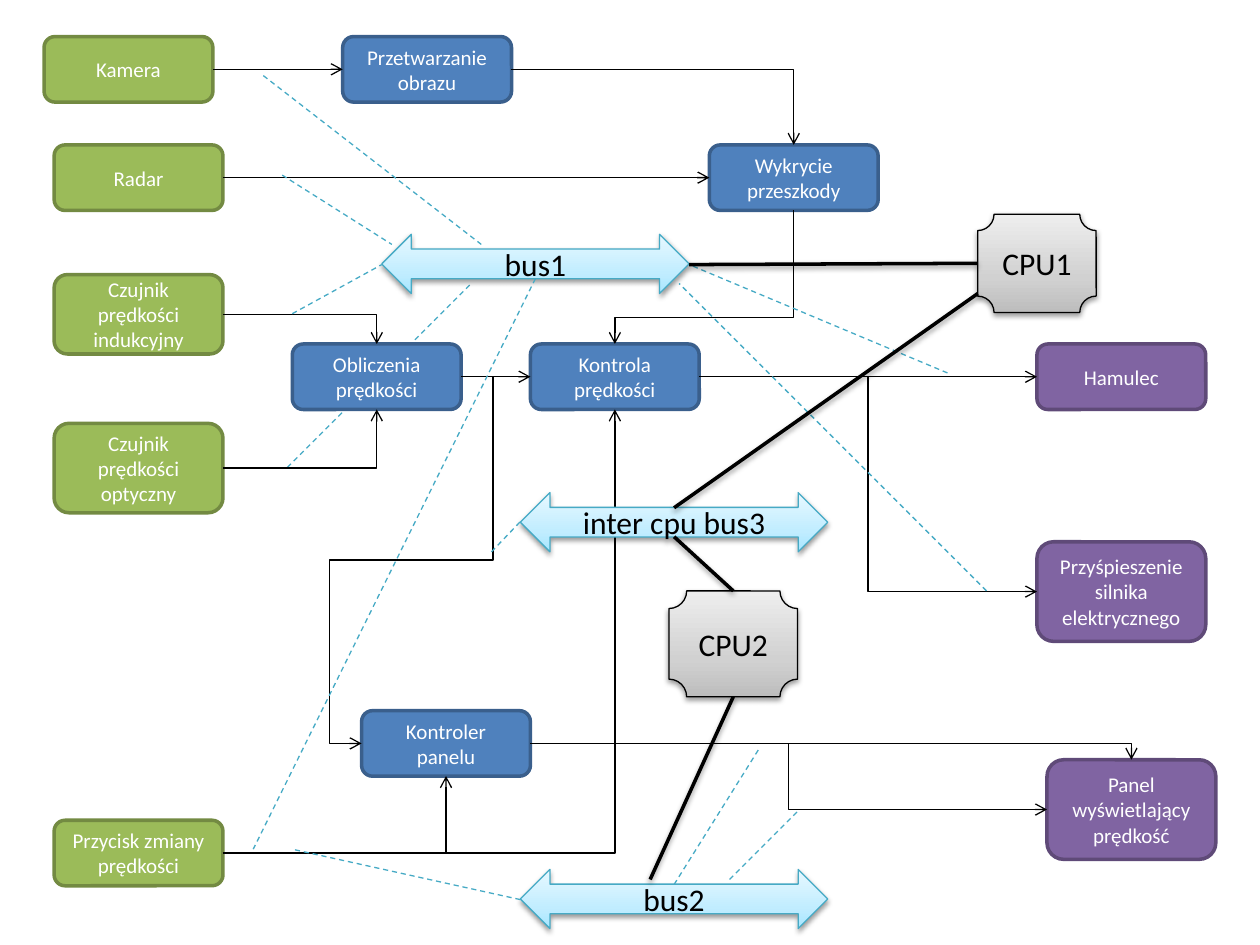
from copy import deepcopy
from dataclasses import dataclass

from lxml import etree
from pptx import Presentation
from pptx.dml import color
from pptx.enum import dml, shapes, text
from pptx.oxml import ns
from pptx.util import Inches, Pt


@dataclass(frozen=True)
class Theme:
    font: str = "Calibri"
    block_size: float = 12
    hardware_size: float = 18
    thin: float = 0.75
    thick: float = 2
    black: str = "000000"
    white: str = "FFFFFF"
    bus_line: str = "46AAC5"
    sensor: tuple = ("9BBB59", "738A42")
    process: tuple = ("4F81BD", "3A5F8C")
    actuator: tuple = ("8064A2", "5F4A78")
    bus: tuple = ("A7E6FF", "C1EDFF", "E7F8FF")
    cpu: tuple = ("BDBDBD", "D1D1D1", "EEEEEE")


@dataclass(frozen=True)
class Box:
    left: int
    top: int

    def at(self, x, y):
        return self.left + Inches(x), self.top + Inches(y)


THEME = Theme()
TOP, LEFT, BOTTOM, RIGHT = range(4)
BLOCK_WIDTH, BLOCK_HEIGHT = 1.34, 0.52
BUS_WIDTH, BUS_HEIGHT = 2.44, 0.47


def rgb(value):
    return color.RGBColor.from_string(value)


def add_node(parent, tag, **attributes):
    return etree.SubElement(parent, ns.qn(tag), attributes)


def finish_outline(part, line_color, width, shadowed=False):
    part.line.color.rgb = rgb(line_color)
    part.line.width = Pt(width)
    effects = add_node(part._element.spPr, "a:effectLst")
    if shadowed:
        shadow = add_node(effects, "a:outerShdw", blurRad=str(Pt(3.1)), dist=str(Pt(1.6)),
                          dir="5400000", rotWithShape="0")
        add_node(add_node(shadow, "a:srgbClr", val=THEME.black), "a:alpha", val="38000")


def write_label(part, label, size, font_color):
    part.text_frame.word_wrap = True
    part.text_frame.vertical_anchor = text.MSO_ANCHOR.MIDDLE
    paragraph = part.text_frame.paragraphs[0]
    paragraph.text = label
    paragraph.alignment = text.PP_ALIGN.CENTER
    paragraph.font.name = THEME.font
    paragraph.font.size = Pt(size)
    paragraph.font.color.rgb = rgb(font_color)


def fill_gradient(part, colors):
    part.fill.gradient()
    part.fill.gradient_angle = 90
    stops = part._element.spPr.find(ns.qn("a:gradFill")).find(ns.qn("a:gsLst"))
    stops.append(deepcopy(stops[-1]))
    for stop, position, value in zip(part.fill.gradient_stops, (0, 0.35, 1), colors):
        stop.position = position
        stop.color.rgb = rgb(value)


def add_blocks(slide, box):
    columns = (
        (THEME.sensor, (
            ("Kamera", 0.35, 0.29, BLOCK_HEIGHT),
            ("Radar", 0.43, 1.15, BLOCK_HEIGHT),
            ("Czujnik prędkości indukcyjny", 0.43, 2.18, 0.63),
            ("Czujnik prędkości optyczny", 0.43, 3.36, 0.71),
            ("Przycisk zmiany prędkości", 0.43, 6.51, BLOCK_HEIGHT))),
        (THEME.process, (
            ("Przetwarzanie obrazu", 2.72, 0.29, BLOCK_HEIGHT),
            ("Wykrycie przeszkody", 5.63, 1.15, BLOCK_HEIGHT),
            ("Obliczenia prędkości", 2.32, 2.73, BLOCK_HEIGHT),
            ("Kontrola prędkości", 4.21, 2.73, BLOCK_HEIGHT),
            ("Kontroler panelu", 2.87, 5.64, BLOCK_HEIGHT))),
        (THEME.actuator, (
            ("Hamulec", 8.23, 2.73, BLOCK_HEIGHT),
            ("Przyśpieszenie silnika elektrycznego", 8.23, 4.3, 0.79),
            ("Panel wyświetlający prędkość", 8.31, 6.03, 0.79))),
    )
    blocks = {}
    for (fill, outline), entries in columns:
        for label, x, y, height in entries:
            block = slide.shapes.add_shape(shapes.MSO_SHAPE.ROUNDED_RECTANGLE, *box.at(x, y),
                                           Inches(BLOCK_WIDTH), Inches(height))
            block.fill.solid()
            block.fill.fore_color.rgb = rgb(fill)
            finish_outline(block, outline, THEME.thick)
            write_label(block, label, THEME.block_size, THEME.white)
            blocks[label.split()[-1] if label.startswith("Czujnik") else label] = block
    return blocks


def start_downwards(signal):
    width, height = signal.width, signal.height
    signal.left += (width - height) // 2
    signal.top += (height - width) // 2
    signal.width, signal.height = height, width
    frame = signal._element.spPr.find(ns.qn("a:xfrm"))
    frame.attrib.pop("flipH", None)
    frame.set("rot", "5400000")


def add_signal(slide, source, source_side, target, target_side, preset, bends):
    signal = slide.shapes.add_connector(shapes.MSO_CONNECTOR.ELBOW, 0, 0, 0, 0)
    signal.begin_connect(source, source_side)
    signal.end_connect(target, target_side)
    if source_side == BOTTOM:
        start_downwards(signal)
    geometry = signal._element.spPr.find(ns.qn("a:prstGeom"))
    geometry.set("prst", preset)
    guides = geometry.find(ns.qn("a:avLst"))
    for number, bend in enumerate(bends, 1):
        add_node(guides, "a:gd", name=f"adj{number}", fmla=f"val {round(bend * 100000)}")
    finish_outline(signal, THEME.black, THEME.thin)
    add_node(signal.line._get_or_add_ln(), "a:tailEnd", type="arrow")


def add_signals(slide, blocks):
    straight, corner, step, loop = "line", "bentConnector2", "bentConnector3", "bentConnector5"
    engine, panel = "Przyśpieszenie silnika elektrycznego", "Panel wyświetlający prędkość"
    for source, source_side, target, target_side, preset, *bends in (
        ("Kamera", RIGHT, "Przetwarzanie obrazu", LEFT, straight),
        ("Radar", RIGHT, "Wykrycie przeszkody", LEFT, straight),
        ("Przetwarzanie obrazu", RIGHT, "Wykrycie przeszkody", TOP, corner),
        ("Wykrycie przeszkody", BOTTOM, "Kontrola prędkości", TOP, step, 0.8),
        ("Kontrola prędkości", RIGHT, "Hamulec", LEFT, step, 0.5),
        ("Kontrola prędkości", RIGHT, engine, LEFT, step, 0.5),
        ("Obliczenia prędkości", RIGHT, "Kontroler panelu", LEFT, loop, -0.32, 0.5, 1.32),
        ("Przycisk zmiany prędkości", RIGHT, "Kontroler panelu", BOTTOM, corner),
        ("Kontroler panelu", RIGHT, panel, LEFT, step, 0.5),
        ("Przycisk zmiany prędkości", RIGHT, "Kontrola prędkości", BOTTOM, corner),
        ("Kontroler panelu", RIGHT, panel, TOP, corner),
        ("Obliczenia prędkości", RIGHT, "Kontrola prędkości", LEFT, straight),
        ("optyczny", RIGHT, "Obliczenia prędkości", BOTTOM, corner),
        ("indukcyjny", RIGHT, "Obliczenia prędkości", TOP, corner),
    ):
        add_signal(slide, blocks[source], source_side, blocks[target], target_side, preset, bends)


def add_hardware(slide, box):
    arrow, plaque = shapes.MSO_SHAPE.LEFT_RIGHT_ARROW, shapes.MSO_SHAPE.PLAQUE
    hardware = {}
    for label, preset, x, y, width, height, colors, outline in (
        ("bus1", arrow, 3.03, 1.86, BUS_WIDTH, BUS_HEIGHT, THEME.bus, THEME.bus_line),
        ("bus2", arrow, 4.13, 6.9, BUS_WIDTH, BUS_HEIGHT, THEME.bus, THEME.bus_line),
        ("CPU1", plaque, 7.76, 1.7, 0.94, 0.78, THEME.cpu, THEME.black),
        ("CPU2", plaque, 5.31, 4.69, 1.02, 0.84, THEME.cpu, THEME.black),
        ("inter cpu bus3", arrow, 4.13, 3.91, BUS_WIDTH, BUS_HEIGHT, THEME.bus, THEME.bus_line),
    ):
        part = slide.shapes.add_shape(preset, *box.at(x, y), Inches(width), Inches(height))
        fill_gradient(part, colors)
        finish_outline(part, outline, THEME.thin, shadowed=True)
        write_label(part, label, THEME.hardware_size, THEME.black)
        hardware[label] = part
    return hardware


def add_bus_use(slide, box, *routes):
    for start, end in routes:
        use = slide.shapes.add_connector(shapes.MSO_CONNECTOR.STRAIGHT, *box.at(*start), *box.at(*end))
        finish_outline(use, THEME.bus_line, THEME.thin)
        use.line.dash_style = dml.MSO_LINE.DASH


def add_cpu_links(slide, box, hardware):
    for start, end, cpu, side in (
        ((5.47, 2.1), (7.76, 2.09), "CPU1", LEFT),
        ((5.16, 6.98), (5.83, 5.53), "CPU2", BOTTOM),
        ((5.35, 4.26), (5.83, 4.69), "CPU2", TOP),
        ((5.35, 4.03), (7.76, 2.33), None, None),
    ):
        link = slide.shapes.add_connector(shapes.MSO_CONNECTOR.STRAIGHT, *box.at(*start), *box.at(*end))
        if cpu:
            link.end_connect(hardware[cpu], side)
        finish_outline(link, THEME.black, THEME.thick, shadowed=True)


def add_diagram(slide, box):
    add_bus_use(slide, box, ((2.28, 3.71), (3.74, 2.25)))
    add_signals(slide, add_blocks(slide, box))
    hardware = add_hardware(slide, box)
    add_bus_use(
        slide, box,
        ((2.09, 0.6), (3.82, 1.94)), ((2.24, 1.39), (3.11, 1.94)),
        ((2.32, 2.49), (3.03, 2.1)), ((7.52, 2.96), (5.47, 2.1)),
        ((7.83, 4.69), (5.39, 2.25)), ((4.25, 2.21), (2.01, 6.74)),
        ((5.35, 7.02), (6.02, 5.95)), ((5.79, 6.98), (6.34, 6.43)),
        ((3.9, 4.38), (4.13, 4.14)), ((4.13, 7.14), (2.32, 6.74)),
    )
    add_cpu_links(slide, box, hardware)


def main():
    deck = Presentation()
    deck.slide_width, deck.slide_height = Inches(10), Inches(7.5)
    slide = deck.slides.add_slide(deck.slide_layouts[6])
    add_diagram(slide, Box(Inches(0), Inches(0)))
    deck.save("out.pptx")


if __name__ == "__main__":
    main()
